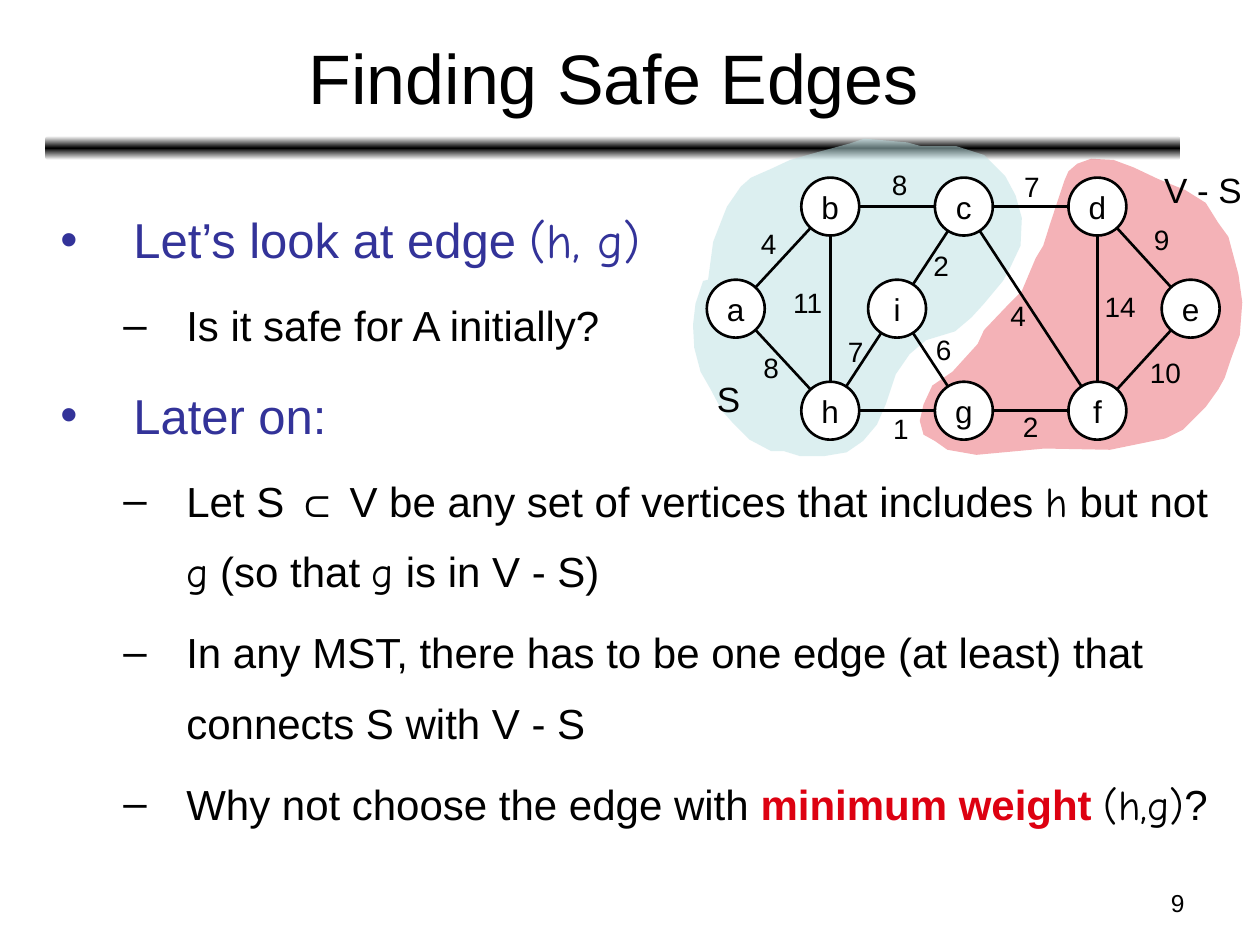
from math import hypot
from copy import deepcopy
from lxml.etree import SubElement as Sub
from pptx import Presentation
from pptx.util import Inches as In, Pt
from pptx.oxml.ns import qn
from pptx.dml.color import RGBColor as RGB
from pptx.enum.shapes import MSO_SHAPE as Kind, MSO_CONNECTOR as Link
from pptx.enum.text import PP_ALIGN as Al, MSO_ANCHOR as Anc

BLACK, WHITE = RGB(0, 0, 0), RGB(255, 255, 255)
BLUE, RED, TEAL = RGB(0x33, 0x33, 0x99), RGB(0xDD, 1, 0x11), RGB(0xBB, 0xE0, 0xE3)
SANS, HAND = "Arial", "Comic Neue"

# Body: (level, runs); a run is text or (text, format)
HW = {"font": HAND}
BODY = [
    (0, ["Let’s look at edge ", ("(h, g)", HW)]),
    (1, ["Is it safe for A initially?"]),
    (0, ["Later on:"]),
    (1, ["Let S ⊂ V be any set of vertices that includes ", ("h", HW), " but not ",
         ("g", HW), " (so that ", ("g", HW), " is in V - S)"]),
    (1, ["In any MST, there has to be one edge (at least) that connects S with V - S "]),
    (1, ["Why not choose the edge with ", ("minimum weight ", {"color": RED, "bold": True}),
         ("(h,g)", HW), "? "]),
]
# Per level: size, colour, bullet, left margin, hanging indent, space before
LEVELS = [(28, BLUE, "•", 0.58, 0.58, 7), (24, BLACK, "–", 1, 0.5, 6)]

# Graph: node centres on three rows; edges with weight and label centre
TOP, MID, LOW, RAD = 1.64, 2.45, 3.26, 0.23
NODES = {"a": (5.84, MID), "b": (6.59, TOP), "c": (7.65, TOP), "d": (8.71, TOP),
         "e": (9.45, MID), "h": (6.59, LOW), "g": (7.65, LOW), "f": (8.71, LOW),
         "i": (7.12, MID)}
EDGES = [("ab", 4, 6.10, 1.94), ("bc", 8, 7.14, 1.47), ("cd", 7, 8.19, 1.49),
         ("ah", 8, 6.12, 2.92), ("bh", 11, 6.41, 2.41), ("hg", 1, 7.15, 3.41),
         ("gf", 2, 8.18, 3.39), ("hi", 7, 6.79, 2.80), ("ic", 2, 7.47, 2.11),
         ("cf", 4, 8.08, 2.51), ("df", 14, 8.89, 2.44), ("de", 9, 9.22, 1.91),
         ("ef", 10, 9.25, 2.96), ("ig", 6, 7.49, 2.78)]

# Outlines of the two vertex sets, in hundredths of an inch
RIGHT = [(866, 126), (855, 130), (848, 136), (845, 143), (834, 176), (828, 195),
         (822, 205), (811, 231), (802, 240), (781, 262), (776, 273), (756, 295),
         (740, 306), (733, 321), (730, 334), (733, 345), (742, 350), (752, 357),
         (775, 361), (829, 356), (881, 357), (925, 348), (939, 341), (957, 323),
         (967, 309), (972, 300), (977, 285), (984, 266), (986, 240), (983, 218),
         (975, 188), (967, 177), (957, 161), (941, 151), (919, 142), (900, 133),
         (884, 127)]
LEFT = [(596, 141), (612, 134), (627, 127), (648, 121), (674, 114), (686, 110),
        (720, 113), (731, 116), (759, 116), (781, 123), (798, 140), (806, 155),
        (811, 173), (810, 195), (801, 214), (796, 223), (781, 241), (771, 252),
        (758, 263), (735, 270), (722, 281), (711, 297), (703, 321), (696, 337),
        (685, 350), (672, 359), (654, 362), (635, 362), (622, 358), (612, 358),
        (595, 349), (581, 335), (573, 326), (564, 309), (556, 295), (551, 276),
        (550, 258), (552, 241), (558, 223), (562, 222), (566, 192), (573, 174),
        (577, 164), (588, 148)]
SETS = [(RIGHT, RED, 30), (LEFT, TEAL, 50)]

deck = Presentation()
deck.slide_width, deck.slide_height = In(10), In(7.5)
page = deck.slides.add_slide(deck.slide_layouts[6]).shapes


def write(para, text, size=18, color=BLACK, font=SANS, bold=False, align=None):
    run = para.add_run()
    run.text = text
    look = run.font
    look.size, look.name, look.bold = Pt(size), font, bold
    look.color.rgb = color
    if align is not None:
        para.alignment = align


def box(home, x, y, w, h, wrap=True, anchor=Anc.TOP):
    frame = home.add_textbox(In(x), In(y), In(w), In(h)).text_frame
    frame.word_wrap, frame.vertical_anchor = wrap, anchor
    return frame


# Rule under the title
rule = page.add_shape(Kind.ROUNDED_RECTANGLE, In(0.36), In(1.08), In(9.01), In(0.19))
rule.shadow.inherit = False
rule.line.fill.background()
rule.fill.gradient()
rule.fill.gradient_angle = 90
stops = rule._element.spPr.find(qn("a:gradFill")).find(qn("a:gsLst"))
stops.insert(1, deepcopy(stops[0]))
for stop, pos, tone in zip(rule.fill.gradient_stops, (0, 0.5, 1), (WHITE, BLACK, WHITE)):
    stop.position, stop.color.rgb = pos, tone

# Page number
write(box(page, 7.17, 7, 2.33, 0.35).paragraphs[0], "9", size=14, align=Al.RIGHT)

# Vertex sets and their names
cut = page.add_group_shape().shapes
for pts, tone, alpha in SETS:
    pen = cut.build_freeform(*pts[0], scale=In(0.01))
    pen.add_line_segments(pts[1:], close=True)
    blob = pen.convert_to_shape()
    blob.shadow.inherit = False
    blob.line.fill.background()
    blob.fill.solid()
    blob.fill.fore_color.rgb = tone
    clr = blob._element.spPr.find(qn("a:solidFill"))[0]
    Sub(clr, qn("a:alpha")).set("val", str(alpha * 1000))
for name, x, y, w in [("S", 5.59, 2.95, 0.38), ("V - S", 9.14, 1.29, 0.82)]:
    write(box(cut, x, y, w, 0.44, wrap=False).paragraphs[0], name, size=20)

# Title
title = box(page, 0.37, 0.11, 9, 0.99, anchor=Anc.MIDDLE)
write(title.paragraphs[0], "Finding Safe Edges", size=40, align=Al.CENTER)

# Bulleted body
body = box(page, 0.38, 1.43, 9.42, 5.55)
for n, (level, runs) in enumerate(BODY):
    para = body.add_paragraph() if n else body.paragraphs[0]
    size, tone, mark, left, hang, gap = LEVELS[level]
    para.level, para.line_spacing, para.space_before = level, 1.4, Pt(gap)
    prop = para._p.get_or_add_pPr()
    prop.set("marL", str(In(left)))
    prop.set("indent", str(-In(hang)))
    Sub(Sub(prop, qn("a:buClr")), qn("a:srgbClr")).set("val", str(tone))
    Sub(prop, qn("a:buFont")).set("typeface", SANS)
    Sub(prop, qn("a:buChar")).set("char", mark)
    for run in runs:
        text, form = (run, {}) if isinstance(run, str) else run
        write(para, text, **{"size": size, "color": tone, **form})

# Graph nodes
graph = page.add_group_shape().shapes
for name, (x, y) in NODES.items():
    node = graph.add_shape(Kind.OVAL, In(x - RAD), In(y - RAD), In(2 * RAD), In(2 * RAD))
    node.shadow.inherit = False
    node.fill.solid()
    node.fill.fore_color.rgb = WHITE
    node.line.color.rgb, node.line.width = BLACK, Pt(1.5)
    node.text_frame.word_wrap = False
    node.text_frame.vertical_anchor = Anc.MIDDLE
    write(node.text_frame.paragraphs[0], name, align=Al.CENTER)

# Graph edges, trimmed to the rims of their nodes
for (one, two), *_ in EDGES:
    (x, y), (u, v) = NODES[one], NODES[two]
    part = RAD / hypot(u - x, v - y)
    dx, dy = (u - x) * part, (v - y) * part
    edge = graph.add_connector(Link.STRAIGHT, In(x + dx), In(y + dy), In(u - dx), In(v - dy))
    edge.line.color.rgb, edge.line.width = BLACK, Pt(1.5)
    Sub(edge._element.spPr, qn("a:effectLst"))

# Edge weights, centred with no side insets so that two digits fit on a line
for _, cost, x, y in EDGES:
    w = 0.2 + 0.12 * len(str(cost))
    label = box(graph, x - w / 2, y - 0.19, w, 0.37, wrap=False)
    label.margin_left = label.margin_right = 0
    write(label.paragraphs[0], str(cost), size=16, align=Al.CENTER)

deck.save("out.pptx")
